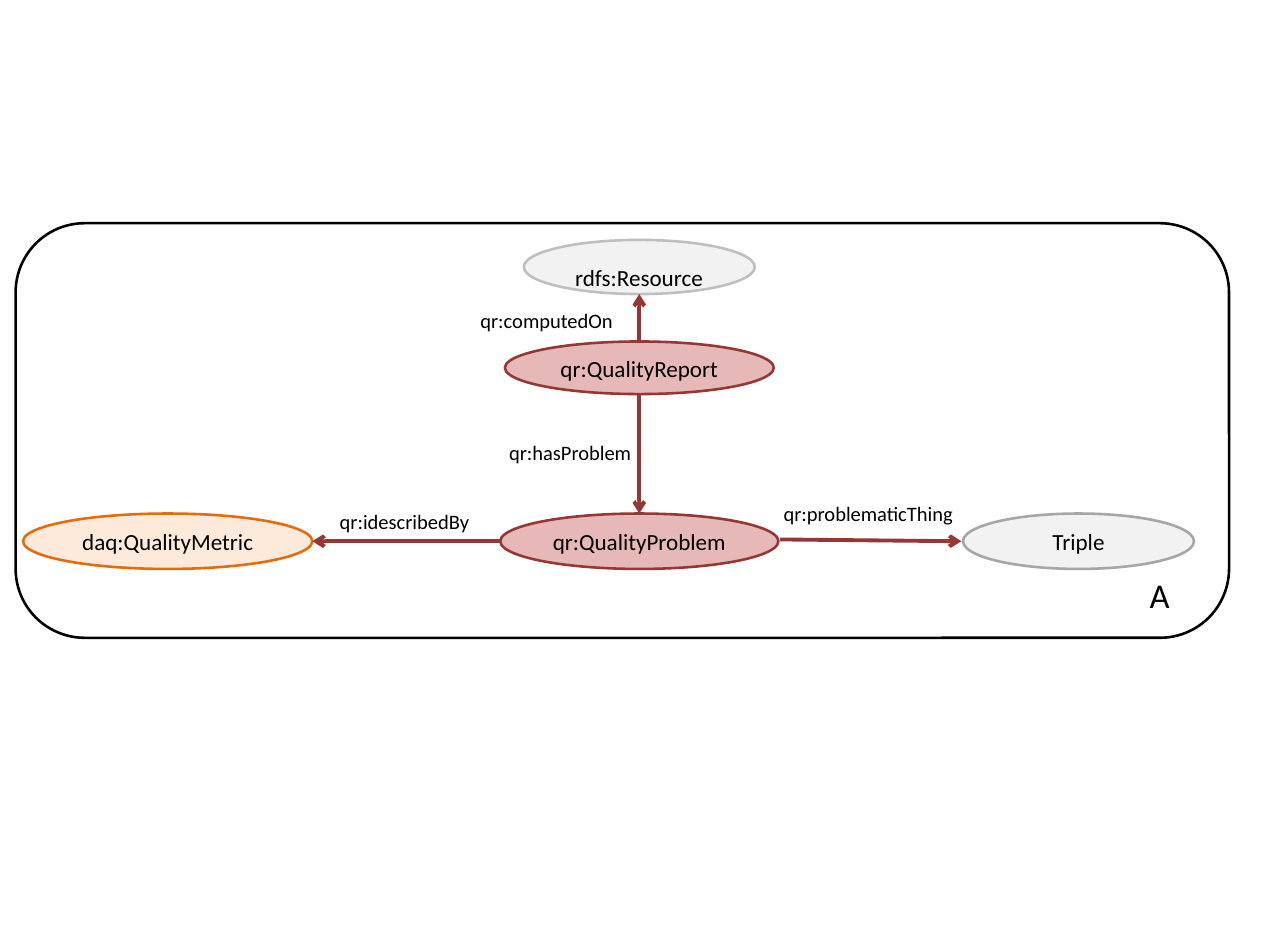
from lxml.etree import SubElement
from pptx import Presentation
from pptx.dml.color import RGBColor
from pptx.enum.shapes import MSO_CONNECTOR as Connector, MSO_SHAPE as Shape
from pptx.enum.text import MSO_ANCHOR as Anchor, PP_ALIGN as Align
from pptx.oxml.ns import qn
from pptx.util import Pt

BLACK = RGBColor(0x00, 0x00, 0x00)
RED = RGBColor(0x95, 0x37, 0x35)
PINK = RGBColor(0xE6, 0xB9, 0xB8)
ORANGE = RGBColor(0xE4, 0x6C, 0x0A)
PEACH = RGBColor(0xFD, 0xEA, 0xDA)
PALE = RGBColor(0xF2, 0xF2, 0xF2)
SILVER = RGBColor(0xBF, 0xBF, 0xBF)
GRAY = RGBColor(0xA6, 0xA6, 0xA6)

PAGE_SIZE = (1003.5, 733.5)
FRAME = (12.2, 174, 945.4, 323.2)
AXIS = 498.1  # centre of the middle column
ROW = 421.9   # centre of the bottom row

# name: (text, centre x, centre y, width, height, fill, line)
NODES = {
    "resource": ("", AXIS, 208.1, 180, 42.2, PALE, SILVER),
    "report": ("qr:QualityReport", AXIS, 286.7, 209.5, 41, PINK, RED),
    "problem": ("qr:QualityProblem", AXIS, ROW, 216.7, 43.2, PINK, RED),
    "triple": ("Triple", 840.3, ROW, 180, 43.2, PALE, GRAY),
    "metric": ("daq:QualityMetric", 130.7, ROW, 225.4, 43.2, PEACH, ORANGE),
}
# from node, side, to node, side, gap at both ends, rise of the start
ARROWS = [
    ("report", "top", "resource", "bottom", 0, 0),
    ("report", "bottom", "problem", "top", 0, 0),
    ("problem", "left", "metric", "right", 0, 0),
    ("problem", "right", "triple", "left", 1.3, 1.4),
]
# text, left, top, width, height, size, alignment
LABELS = [
    ("qr:computedOn", 367.2, 236.9, 122.4, 21.6, 16, Align.LEFT),
    ("qr:hasProblem", 389.5, 339.1, 131, 26.6, 16, Align.LEFT),
    ("qr:idescribedBy", 257.6, 393.1, 134.6, 26.6, 16, Align.LEFT),
    ("qr:problematicThing", 603.4, 387.1, 173.5, 26.6, 16, Align.LEFT),
    ("rdfs:Resource", 428.4, 201.6, 139, 27.4, 18, Align.CENTER),
    ("A", 888.6, 443.9, 79.2, 33.1, 27, Align.LEFT),
]
SIDES = {"top": (0, -1), "bottom": (0, 1), "left": (-1, 0), "right": (1, 0)}


def write(shape, text, size, align):
    shape.text_frame.word_wrap = True
    para = shape.text_frame.paragraphs[0]
    para.alignment = align
    span = para.add_run()
    span.text = text
    for name, value in {"name": "Calibri", "size": Pt(size)}.items():
        setattr(span.font, name, value)
    span.font.color.rgb = BLACK


def add_outlined(page, kind, bounds, line, fill=None):
    shape = page.shapes.add_shape(kind, *map(Pt, bounds))
    shape.shadow.inherit = False
    if fill is None:
        shape.fill.background()
    else:
        shape.fill.solid()
        shape.fill.fore_color.rgb = fill
    shape.line.color.rgb = line
    shape.line.width = Pt(2)
    return shape


def add_node(page, text, x, y, width, height, fill, line):
    bounds = (x - width / 2, y - height / 2, width, height)
    ellipse = add_outlined(page, Shape.OVAL, bounds, line, fill)
    if text:
        ellipse.text_frame.vertical_anchor = Anchor.MIDDLE
        write(ellipse, text, 18, Align.CENTER)


def side_point(node, side, gap):
    """Return the point that lies gap outside the middle of a node's side."""
    x, y, width, height = NODES[node][1:5]
    across, down = SIDES[side]
    return x + across * (width / 2 + gap), y + down * (height / 2 + gap)


def add_arrow(page, source, source_side, target, target_side, gap, rise):
    x, y = side_point(source, source_side, gap)
    ends = (x, y - rise, *side_point(target, target_side, gap))
    arrow = page.shapes.add_connector(Connector.STRAIGHT, *map(Pt, ends))
    arrow.line.color.rgb = RED
    arrow.line.width = Pt(3)
    SubElement(arrow.line._get_or_add_ln(), qn("a:tailEnd"), type="arrow")
    SubElement(arrow._element.spPr, qn("a:effectLst"))


def main():
    deck = Presentation()
    deck.slide_width, deck.slide_height = map(Pt, PAGE_SIZE)
    page = deck.slides.add_slide(deck.slide_layouts[6])
    add_outlined(page, Shape.ROUNDED_RECTANGLE, FRAME, BLACK)
    for node in NODES.values():
        add_node(page, *node)
    for arrow in ARROWS:
        add_arrow(page, *arrow)
    for text, left, top, width, height, size, align in LABELS:
        box = page.shapes.add_textbox(*map(Pt, (left, top, width, height)))
        write(box, text, size, align)
    deck.save("out.pptx")


if __name__ == "__main__":
    main()
